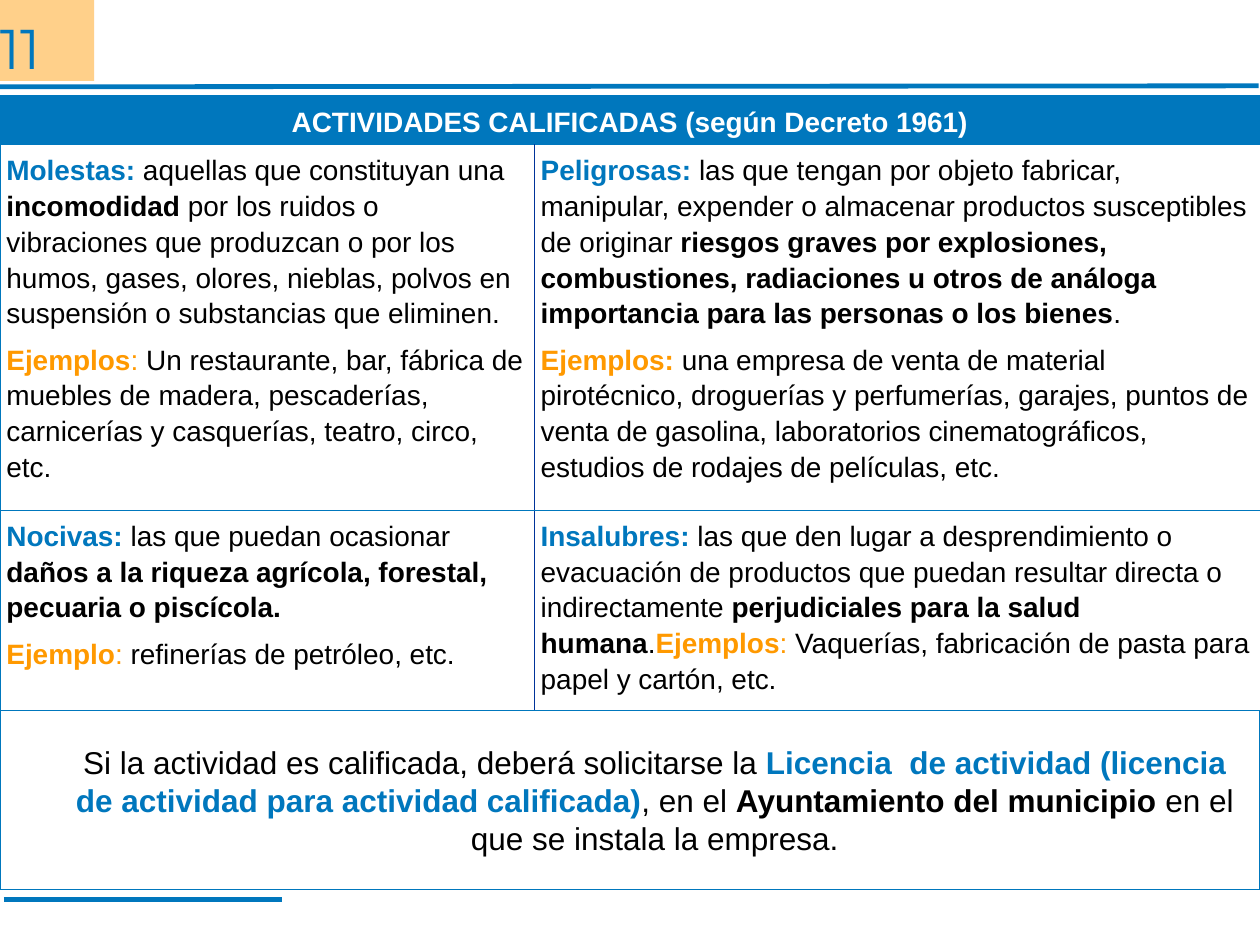
from lxml import etree
from pptx import Presentation
from pptx.dml.color import RGBColor
from pptx.enum import shapes, text
from pptx.oxml import ns
from pptx.util import Cm, Pt

BLUE, NAVY, ORANGE, BLACK, WHITE = "0077BD", "003399", "FF9900", "000000", "FFFFFF"


def rgb(value):
    return RGBColor.from_string(value)


def plain(words):
    return words, BLACK, False


def strong(words, color=BLACK):
    return words, color, True


def sub(parent, tag, **attrs):
    return etree.SubElement(parent, ns.qn(tag), attrs)


def write(p, runs, size, font="Arial", spacing=None, after=6, align=None):
    """Fill a paragraph with (words, colour, bold) runs."""
    p.font.size, p.font.name = Pt(size), font
    p.alignment, p.line_spacing, p.space_after = align, spacing, Pt(after)
    for words, color, bold in runs:
        r = p.add_run()
        r.text = words
        r.font.bold = bold
        r.font.color.rgb = rgb(color)


def add_rule(s, x1, y1, x2, y2):
    line = s.shapes.add_connector(
        shapes.MSO_CONNECTOR.STRAIGHT, Cm(x1), Cm(y1), Cm(x2), Cm(y2))
    line.line.color.rgb = rgb(BLUE)
    line.line.width = Pt(2.75)
    sub(line._element.spPr, "a:effectLst")


def add_box(s, x, y, w, h, anchor):
    sp = s.shapes.add_shape(shapes.MSO_SHAPE.RECTANGLE, Cm(x), Cm(y), Cm(w), Cm(h))
    sp.shadow.inherit = False
    sp.text_frame.word_wrap = True
    sp.text_frame.vertical_anchor = anchor
    return sp


def add_page_number(s):
    sp = add_box(s, 0, 0, 1.9, 1.63, text.MSO_ANCHOR.TOP)
    sp.fill.solid()
    sp.fill.fore_color.rgb = rgb(ORANGE)
    sub(sp._element.spPr.find(".//" + ns.qn("a:srgbClr")), "a:alpha", val="46000")
    sp.line.fill.background()
    tf = sp.text_frame
    tf.margin_left = tf.margin_top = tf.margin_right = tf.margin_bottom = 0
    write(tf.paragraphs[0], [("11", BLUE, False)], 32, "Montserrat", 1.2, 28,
          text.PP_ALIGN.LEFT)


def set_borders(cell, **colors):
    """Draw the L, R, T and B edges, blue unless another colour is given."""
    props = cell._tc.get_or_add_tcPr()
    for i, side in enumerate("LRTB"):
        ln = etree.Element(ns.qn("a:ln" + side), w=str(Pt(0.45)))
        sub(sub(ln, "a:solidFill"), "a:srgbClr", val=colors.get(side, BLUE))
        props.insert(i, ln)


def fill_cell(cell, paragraphs, align=None):
    cell.margin_left = cell.margin_right = Cm(0.13)
    cell.margin_top = cell.margin_bottom = Cm(0.13)
    tf = cell.text_frame
    for i, runs in enumerate(paragraphs):
        p = tf.add_paragraph() if i else tf.paragraphs[0]
        write(p, runs, 16, spacing=1.15, align=align)


def add_activities(s, title, rows):
    widths, heights = (10.77, 14.63), (0.91, 7.37, 4.04)
    frame = s.shapes.add_table(3, 2, 0, Cm(1.93), Cm(sum(widths)), Cm(sum(heights)))
    table = frame.table
    table.first_row = table.horz_banding = False
    for column, width in zip(table.columns, widths):
        column.width = Cm(width)
    for row, height in zip(table.rows, heights):
        row.height = Cm(height)

    header = table.cell(0, 0)
    header.merge(table.cell(0, 1))
    fill_cell(header, [[strong(title, WHITE)]], text.PP_ALIGN.CENTER)
    for cell in table.rows[0].cells:
        cell.fill.solid()
        cell.fill.fore_color.rgb = rgb(BLUE)
        set_borders(cell)

    for i, row in enumerate(rows, 1):
        for j, paragraphs in enumerate(row):
            cell = table.cell(i, j)
            cell.fill.background()
            fill_cell(cell, paragraphs)
            set_borders(cell, **({"L": NAVY} if j else {"R": NAVY}))


def add_conclusion(s, runs):
    sp = add_box(s, 0, 14.33, 25.4, 3.6, text.MSO_ANCHOR.MIDDLE)
    sp.fill.background()
    sp.line.color.rgb = rgb(BLUE)
    sp.line.width = Pt(0.75)
    p = sp.text_frame.paragraphs[0]
    write(p, runs, 18, align=text.PP_ALIGN.CENTER)
    props = p._p.get_or_add_pPr()
    props.set("marL", str(Cm(1)))
    props.set("indent", "0")


def main():
    prs = Presentation()
    prs.slide_width, prs.slide_height = Cm(25.4), Cm(19.05)
    s = prs.slides.add_slide(prs.slide_layouts[6])

    add_rule(s, -0.03, 1.75, 25.37, 1.73)
    add_page_number(s)
    add_rule(s, 0.08, 18.14, 5.69, 18.14)

    annoying = [
        [strong("Molestas:", BLUE), plain(" aquellas que constituyan una "),
         strong("incomodidad"),
         plain(" por los ruidos o vibraciones que produzcan o por los humos, gases, "
               "olores, nieblas, polvos en suspensión o substancias que eliminen.")],
        [strong("Ejemplos", ORANGE), (": ", ORANGE, False),
         plain("Un restaurante, bar, fábrica de muebles de madera, pescaderías, "
               "carnicerías y casquerías, teatro, circo, etc.")],
    ]
    dangerous = [
        [strong("Peligrosas: ", BLUE),
         plain("las que tengan por objeto fabricar, manipular, expender o almacenar "
               "productos susceptibles de originar "),
         strong("riesgos graves por explosiones, combustiones, radiaciones u otros "
                "de análoga importancia para las personas o los bienes"), plain(".")],
        [strong("Ejemplos: ", ORANGE),
         plain("una empresa de venta de material pirotécnico, droguerías y "
               "perfumerías, garajes, puntos de venta de gasolina, laboratorios "
               "cinematográficos, estudios de rodajes de películas, etc.")],
    ]
    harmful = [
        [strong("Nocivas: ", BLUE), plain("las que puedan ocasionar "),
         strong("daños a la riqueza agrícola, forestal, pecuaria o piscícola.")],
        [strong("Ejemplo", ORANGE), (":", ORANGE, False),
         plain(" refinerías de petróleo, etc.")],
    ]
    unhealthy = [
        [strong("Insalubres:", BLUE),
         plain(" las que den lugar a desprendimiento o evacuación de productos que "
               "puedan resultar directa o indirectamente "),
         strong("perjudiciales para la salud humana"), plain("."),
         strong("Ejemplos", ORANGE), (": ", ORANGE, False),
         plain("Vaquerías, fabricación de pasta para papel y cartón, etc.")],
    ]
    add_activities(s, "ACTIVIDADES CALIFICADAS (según Decreto 1961)",
                   [(annoying, dangerous), (harmful, unhealthy)])

    add_conclusion(s, [
        plain("Si la actividad es calificada, deberá solicitarse la "),
        strong("Licencia  de actividad (licencia de actividad para actividad "
               "calificada)", BLUE),
        plain(", en el "), strong("Ayuntamiento del municipio "),
        plain("en el que se instala la empresa."),
    ])
    prs.save("out.pptx")


if __name__ == "__main__":
    main()
